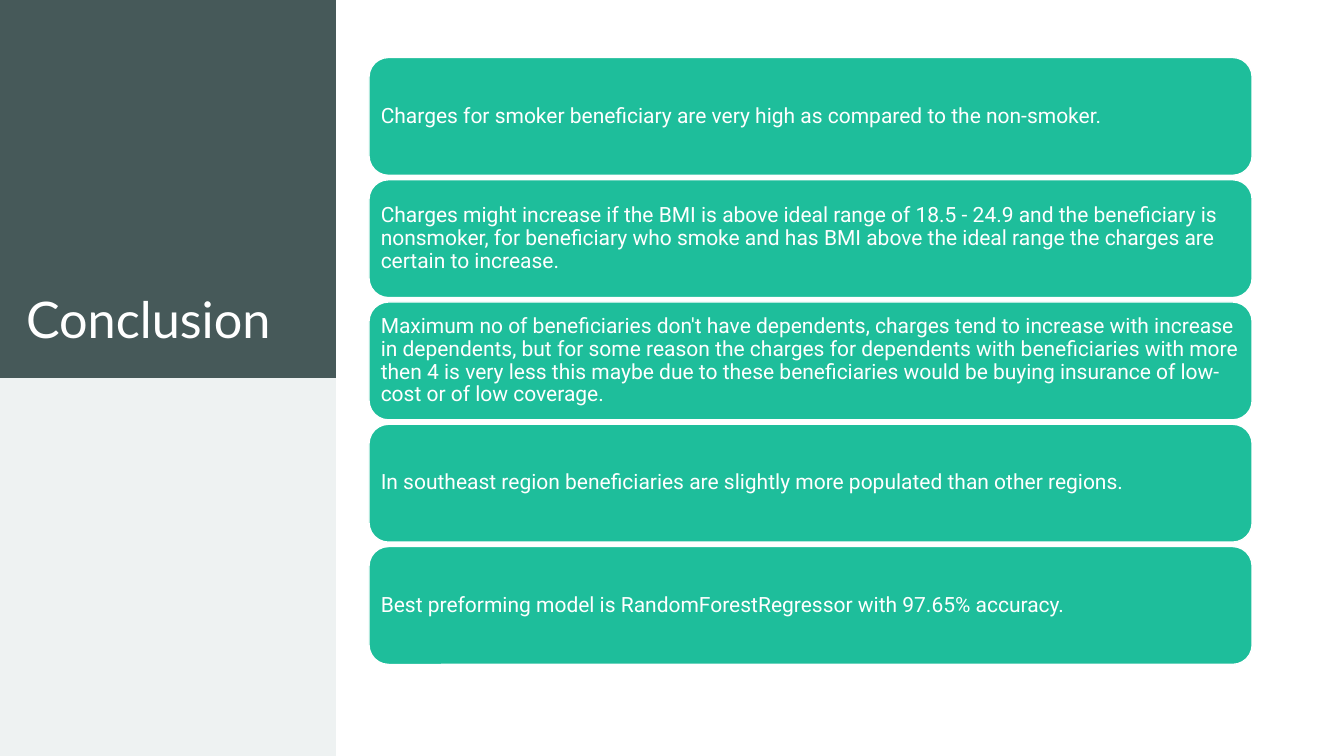
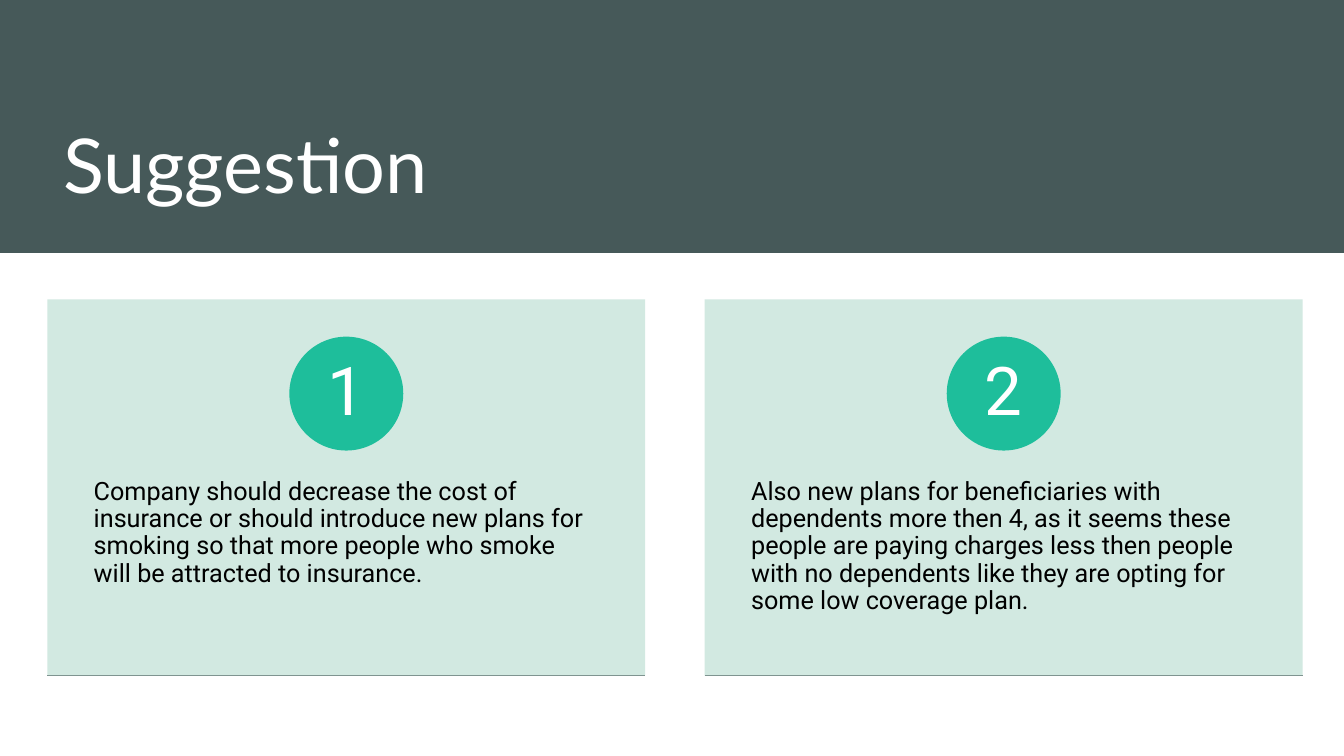
from pptx import Presentation
from pptx.dml.color import RGBColor
from pptx.enum.shapes import MSO_CONNECTOR, MSO_SHAPE
from pptx.enum.text import MSO_ANCHOR, PP_ALIGN
from pptx.oxml.ns import qn
from pptx.util import Inches, Pt
from lxml.etree import SubElement

POINTS = [
    "Charges for smoker beneficiary are very high as compared to the non-smoker.",
    "Charges might increase if the BMI is above ideal range of 18.5 - 24.9 and the "
    "beneficiary is nonsmoker, for beneficiary who smoke and has BMI above the ideal "
    "range the charges are certain to increase.",
    "Maximum no of beneficiaries don't have dependents, charges tend to increase with "
    "increase in dependents, but for some reason the charges for dependents with "
    "beneficiaries with more then 4 is very less this maybe due to these beneficiaries "
    "would be buying insurance of low-cost or of low coverage.",
    "In southeast region beneficiaries are slightly more populated than other regions.",
    "Best preforming model is RandomForestRegressor with 97.65% accuracy.",
]
IDEAS = [
    "Company should decrease the cost of insurance or should introduce new plans for "
    "smoking so that more people who smoke will be attracted to insurance.",
    "Also new plans for beneficiaries with dependents more then 4, as it seems these "
    "people are paying charges less then people with no dependents like they are opting "
    "for some low coverage plan.",
]

COLORS = {
    "slate": "465959", "pale": "EEF2F2", "green": "1EBE9B", "mint": "D2E9E1",
    "rule": "7F9490", "white": "FFFFFF", "black": "000000",
}
HEAD, BODY = "Lato", "Roboto"
WIDE, HIGH = 13.33, 7.5


def color(name):
    return RGBColor.from_string(COLORS[name])


def add_box(slide, kind, at, fill):
    box = slide.shapes.add_shape(kind, *map(Inches, at))
    box.shadow.inherit = False
    box.fill.solid()
    box.fill.fore_color.rgb = color(fill)
    box.line.fill.background()
    return box


def put_text(shape, text, size, ink="white", font=BODY, pads=(0.1, 0.05),
             anchor=MSO_ANCHOR.MIDDLE, align=PP_ALIGN.LEFT, space=0.9, wrap=True):
    """Fill a shape with one paragraph; pads are (side, top and bottom)."""
    frame = shape.text_frame
    frame.word_wrap = wrap
    frame.vertical_anchor = anchor
    frame.margin_left = frame.margin_right = Inches(pads[0])
    frame.margin_top = frame.margin_bottom = Inches(pads[1])
    frame.text = text
    para = frame.paragraphs[0]
    para.alignment = align
    para.line_spacing = space
    style = para.runs[0].font
    style.name, style.size, style.color.rgb = font, Pt(size), color(ink)


def add_slide(deck, title, size, band, at):
    """Start a slide with a dark band of the given size and its title."""
    slide = deck.slides.add_slide(deck.slide_layouts[6])
    add_box(slide, MSO_SHAPE.RECTANGLE, (0, 0, *band), "slate")
    box = slide.shapes.add_textbox(*map(Inches, at))
    put_text(box, title, size, font=HEAD, anchor=MSO_ANCHOR.BOTTOM, space=1)
    return slide


def add_rule(slide, left, top, width):
    line = slide.shapes.add_connector(
        MSO_CONNECTOR.STRAIGHT, *map(Inches, (left, top, left + width, top)))
    line.line.color.rgb = color("rule")
    line.line.width = Pt(0.75)
    SubElement(line._element.spPr, qn("a:effectLst"))


def conclude(deck):
    side, half = WIDE / 4, HIGH / 2
    slide = add_slide(deck, "Conclusion", 36, (side, half), (0.16, 0.4, 2.89, 3.11))
    add_box(slide, MSO_SHAPE.RECTANGLE, (0, half, side, half), "pale")
    left, top, width, height, gap = 3.66, 0.57, 8.76, 1.17, 0.043
    for row, text in enumerate(POINTS):
        at = (left, top + row * (height + gap), width, height)
        bar = add_box(slide, MSO_SHAPE.ROUNDED_RECTANGLE, at, "green")
        bar.line.color.rgb = color("white")
        bar.line.width = Pt(1)
        put_text(bar, text, 15, pads=(0.06, 0.06))


def suggest(deck):
    slide = add_slide(deck, "Suggestion", 54, (WIDE, 2.51), (0.53, 0.4, 11.89, 1.72))
    left, top, width, height, gap = 0.47, 2.97, 5.93, 3.73, 0.59
    disc, drop = 1.13, 0.37
    for col, text in enumerate(IDEAS):
        x = left + col * (width + gap)
        card = add_box(slide, MSO_SHAPE.RECTANGLE, (x, top, width, height), "mint")
        put_text(card, text, 18, "black", pads=(0.46, 0.36), anchor=MSO_ANCHOR.TOP)
        card.text_frame.margin_top = Inches(1.78)
        at = (x + (width - disc) / 2, top + drop, disc, disc)
        badge = add_box(slide, MSO_SHAPE.OVAL, at, "green")
        put_text(badge, str(col + 1), 48, pads=(0, 0), align=PP_ALIGN.CENTER, wrap=False)
        add_rule(slide, x, top + height, width)


def main():
    deck = Presentation()
    deck.slide_width, deck.slide_height = Inches(WIDE), Inches(HIGH)
    conclude(deck)
    suggest(deck)
    deck.save("out.pptx")


if __name__ == "__main__":
    main()
